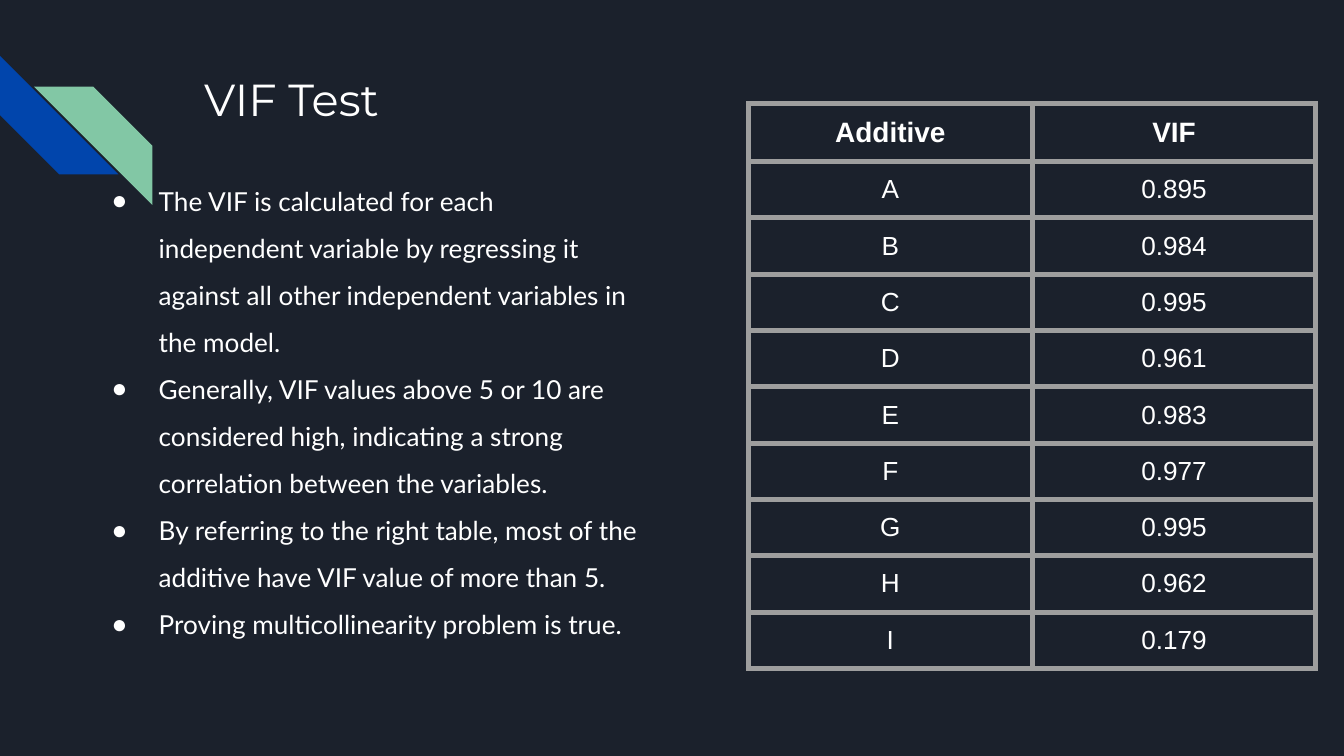
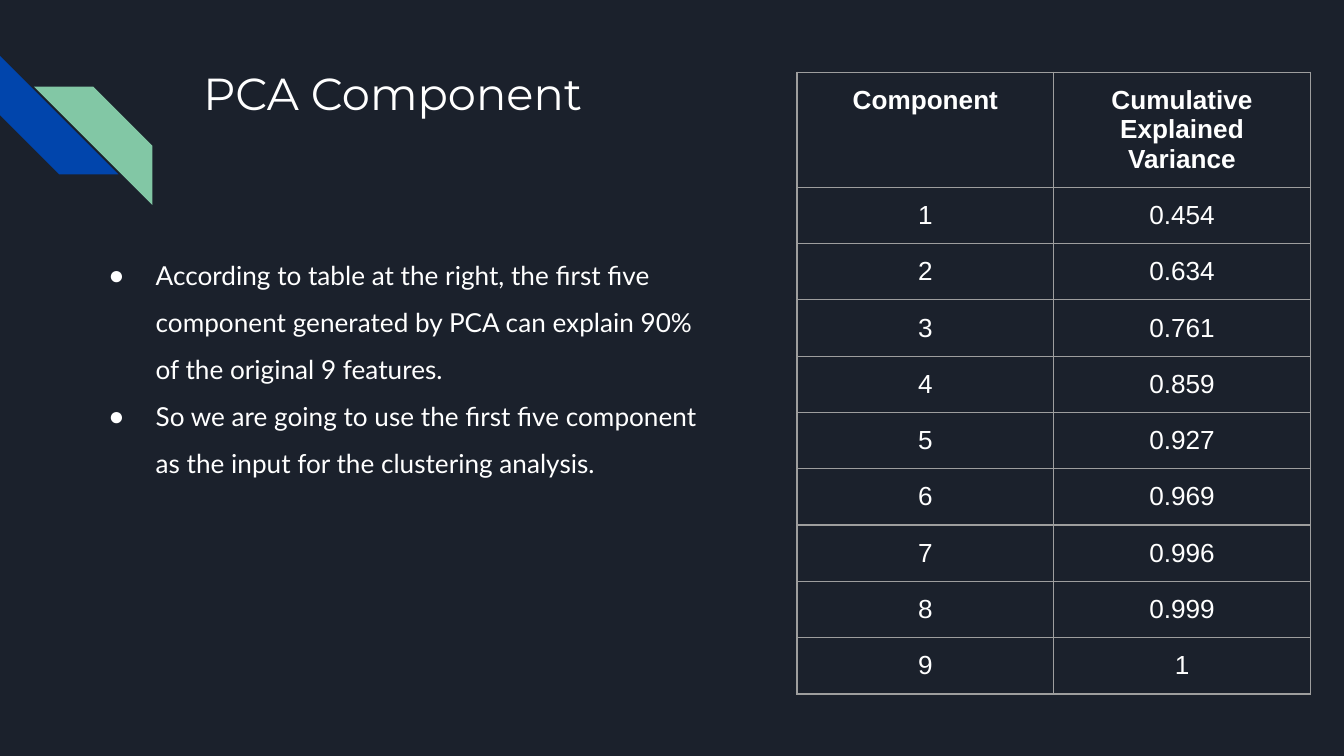
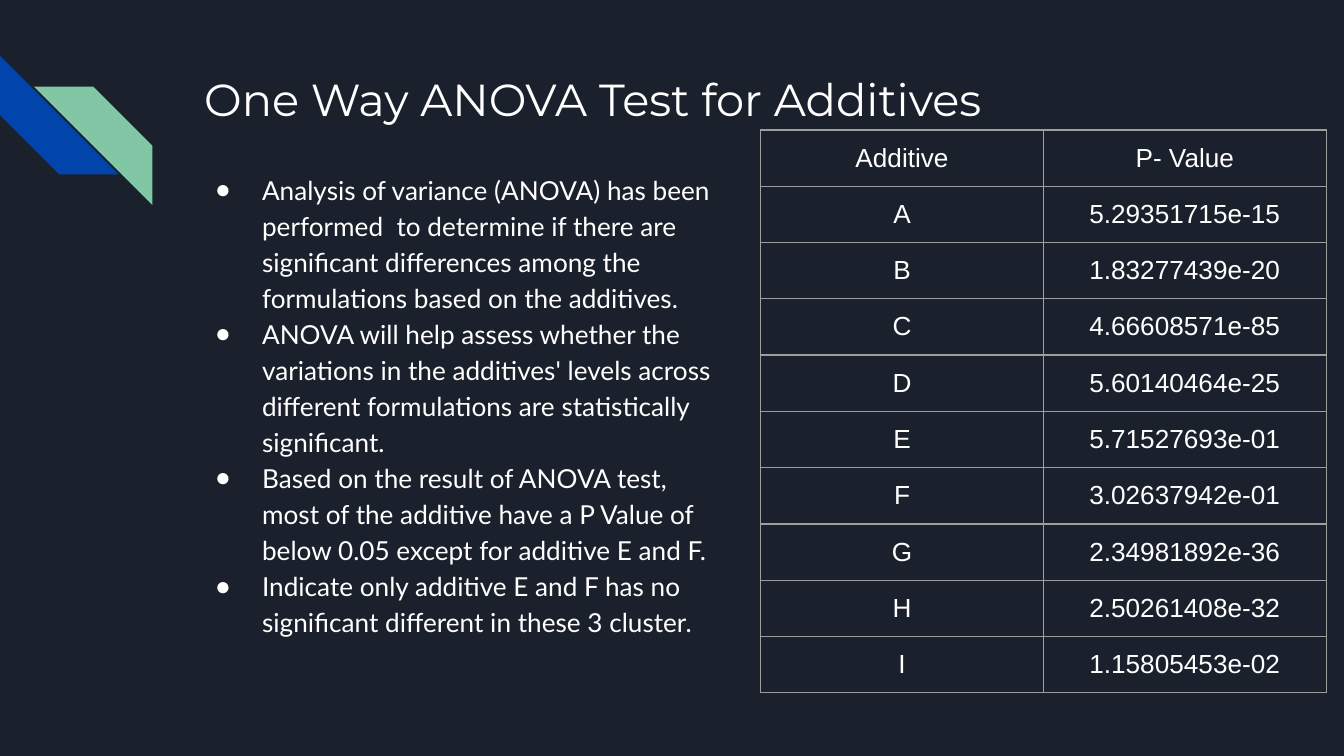
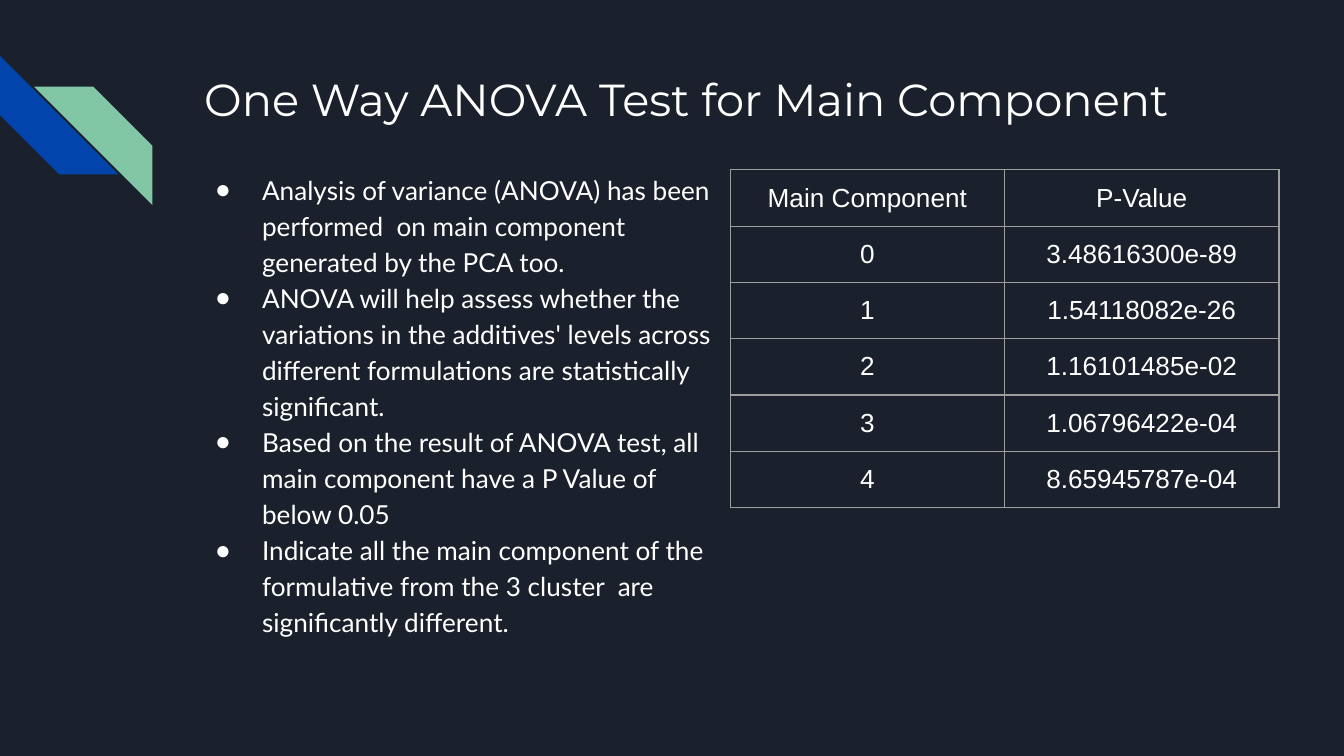
import lxml.etree
import pptx
import pptx.dml.color
import pptx.enum.shapes
import pptx.enum.text
import pptx.oxml.ns
import pptx.util

Pt = pptx.util.Pt
RGBColor = pptx.dml.color.RGBColor
qn = pptx.oxml.ns.qn

NAVY = RGBColor(0x1B, 0x21, 0x2C)
BLUE = RGBColor(0x01, 0x45, 0xAC)
GREEN = RGBColor(0x82, 0xC7, 0xA5)
WHITE = RGBColor(0xFF, 0xFF, 0xFF)
GRAY = RGBColor(0x9E, 0x9E, 0x9E)
STRIPE_SIZE = 63.4
ROW_HEIGHT = 30
ANOVA_PURPOSE = (
    "ANOVA will help assess whether the variations in the additives' levels across "
    "different formulations are statistically significant."
)

PAGES = [
    {
        "title": "VIF Test",
        "title_position": (102.2, 31),
        "body_box": (41.8, 83.5, 308, 268),
        "line_spacing": 1.5,
        "bullets": [
            "The VIF is calculated for each independent variable by regressing it against "
            "all other independent variables in the model.",
            "Generally, VIF values above 5 or 10 are considered high, indicating a strong "
            "correlation between the variables.",
            "By referring to the right table, most of the additive have VIF value of more than 5.",
            "Proving multicollinearity problem is true.",
        ],
        "table_position": (401, 55.5),
        "column_width": 152,
        "border": 3,
        "header_size": 15,
        "header_bold": True,
        "rows": [
            ("Additive", "VIF"),
            ("A", "0.895"),
            ("B", "0.984"),
            ("C", "0.995"),
            ("D", "0.961"),
            ("E", "0.983"),
            ("F", "0.977"),
            ("G", "0.995"),
            ("H", "0.962"),
            ("I", "0.179"),
        ],
    },
    {
        "title": "PCA Component",
        "title_position": (101.7, 28),
        "body_box": (40.2, 123.5, 349, 229),
        "line_spacing": 1.5,
        "bullets": [
            "According to table at the right, the first five component generated by PCA "
            "can explain 90% of the original 9 features.",
            "So we are going to use the first five component as the input for the "
            "clustering analysis.",
        ],
        "table_position": (427, 38.7),
        "column_width": 137.5,
        "border": 0.75,
        "header_size": 14,
        "header_bold": True,
        "rows": [
            ("Component", "Cumulative Explained Variance"),
            ("1", "0.454"),
            ("2", "0.634"),
            ("3", "0.761"),
            ("4", "0.859"),
            ("5", "0.927"),
            ("6", "0.969"),
            ("7", "0.996"),
            ("8", "0.999"),
            ("9", "1"),
        ],
    },
    {
        "title": "One Way ANOVA Test for Additives",
        "title_position": (102.2, 31),
        "body_box": (97.2, 83.5, 294, 312),
        "line_spacing": 1.15,
        "bullets": [
            "Analysis of variance (ANOVA) has been performed  to determine if there are "
            "significant differences among the formulations based on the additives.",
            ANOVA_PURPOSE,
            "Based on the result of ANOVA test, most of the additive have a P Value of "
            "below 0.05 except for additive E and F.",
            "Indicate only additive E and F has no significant different in these 3 cluster.",
        ],
        "table_position": (407.5, 69.6),
        "column_width": 151.5,
        "border": 0.75,
        "header_size": 14,
        "header_bold": False,
        "rows": [
            ("Additive", "P- Value"),
            ("A", "5.29351715e-15"),
            ("B", "1.83277439e-20"),
            ("C", "4.66608571e-85"),
            ("D", "5.60140464e-25"),
            ("E", "5.71527693e-01"),
            ("F", "3.02637942e-01"),
            ("G", "2.34981892e-36"),
            ("H", "2.50261408e-32"),
            ("I", "1.15805453e-02"),
        ],
    },
    {
        "title": "One Way ANOVA Test for Main Component",
        "title_position": (102.2, 31),
        "body_box": (97.2, 83.5, 294, 312),
        "line_spacing": 1.15,
        "bullets": [
            "Analysis of variance (ANOVA) has been performed  on main component generated "
            "by the PCA too.",
            ANOVA_PURPOSE,
            "Based on the result of ANOVA test, all main component have a P Value of below 0.05",
            "Indicate all the main component of the formulative from the 3 cluster  are "
            "significantly different.",
        ],
        "table_position": (391.2, 91),
        "column_width": 147,
        "border": 0.75,
        "header_size": 14,
        "header_bold": False,
        "rows": [
            ("Main Component", "P-Value"),
            ("0", "3.48616300e-89"),
            ("1", "1.54118082e-26"),
            ("2", "1.16101485e-02"),
            ("3", "1.06796422e-04"),
            ("4", "8.65945787e-04"),
        ],
    },
]


def fill_placeholder(shape, box, paragraphs, font_name, size):
    shape.left, shape.top, shape.width, shape.height = [Pt(length) for length in box]
    text_frame = shape.text_frame
    text_frame.text = "\n".join(paragraphs)
    text_frame.word_wrap = True
    text_frame.auto_size = pptx.enum.text.MSO_AUTO_SIZE.NONE
    text_frame.vertical_anchor = pptx.enum.text.MSO_ANCHOR.TOP
    text_frame.margin_left = text_frame.margin_right = Pt(7.2)
    text_frame.margin_top = text_frame.margin_bottom = Pt(7.2)
    for paragraph in text_frame.paragraphs:
        paragraph.alignment = pptx.enum.text.PP_ALIGN.LEFT
        paragraph.space_before = Pt(0)
        format_font(paragraph.runs[0].font, font_name, size)


def format_font(font, name, size, bold=False):
    font.name = name
    font.size = Pt(size)
    font.bold = bold
    font.color.rgb = WHITE


presentation = pptx.Presentation()
presentation.slide_width = Pt(720)
presentation.slide_height = Pt(405)
background_fill = presentation.slide_master.background.fill
background_fill.solid()
background_fill.fore_color.rgb = NAVY

layout = presentation.slide_layouts[1]
for placeholder in list(layout.placeholders):
    if placeholder.placeholder_format.idx >= 10:
        layout.shapes.element.remove(placeholder.element)

slides = [presentation.slides.add_slide(layout) for page in PAGES]

stripes = []
for left, top, color in [(0, 30, BLUE), (18.2, 46.4, GREEN)]:
    stripe = slides[0].shapes.add_shape(
        pptx.enum.shapes.MSO_SHAPE.DIAGONAL_STRIPE,
        Pt(left), Pt(top), Pt(STRIPE_SIZE), Pt(STRIPE_SIZE),
    )
    stripe.shadow.inherit = False
    stripe.fill.solid()
    stripe.fill.fore_color.rgb = color
    stripe.line.fill.background()
    stripes.append(stripe)
blue_stripe, green_stripe = stripes
blue_stripe.rotation = 270
green_stripe.element.spPr.get_or_add_xfrm().set("flipH", "1")
for position, stripe in enumerate(stripes, start=2):
    layout.shapes.element.insert(position, stripe.element)

for slide, page in zip(slides, PAGES):
    title_box = (*page["title_position"], 554.5, 72)
    fill_placeholder(slide.shapes.title, title_box, [page["title"]], "Montserrat", 24)

    body = slide.placeholders[1]
    fill_placeholder(body, page["body_box"], page["bullets"], "Lato", 14)
    for paragraph in body.text_frame.paragraphs:
        paragraph.line_spacing = page["line_spacing"]
        properties = paragraph._p.get_or_add_pPr()
        properties.set("marL", str(Pt(36)))
        properties.set("indent", str(Pt(-25.2)))
        bullet_color = lxml.etree.SubElement(properties, qn("a:buClr"))
        lxml.etree.SubElement(bullet_color, qn("a:srgbClr"), val=str(WHITE))
        lxml.etree.SubElement(properties, qn("a:buChar"), char="●")

    rows = page["rows"]
    left, top = page["table_position"]
    table = slide.shapes.add_table(
        len(rows), 2, Pt(left), Pt(top),
        Pt(2 * page["column_width"]), Pt(len(rows) * ROW_HEIGHT),
    ).table
    table.first_row = page["header_bold"]
    table.horz_banding = False
    for row_index, row in enumerate(rows):
        is_header = row_index == 0
        for column_index, value in enumerate(row):
            cell = table.cell(row_index, column_index)
            cell.margin_left = cell.margin_right = Pt(7.2)
            cell.margin_top = cell.margin_bottom = Pt(7.2)
            cell.text_frame.text = value
            paragraph = cell.text_frame.paragraphs[0]
            paragraph.alignment = pptx.enum.text.PP_ALIGN.CENTER
            format_font(
                paragraph.runs[0].font, "Arial",
                page["header_size"] if is_header else 14,
                is_header and page["header_bold"],
            )
            cell_properties = cell._tc.get_or_add_tcPr()
            for side in ("a:lnL", "a:lnR", "a:lnT", "a:lnB"):
                border = lxml.etree.SubElement(
                    cell_properties, qn(side), w=str(Pt(page["border"]))
                )
                border_fill = lxml.etree.SubElement(border, qn("a:solidFill"))
                lxml.etree.SubElement(border_fill, qn("a:srgbClr"), val=str(GRAY))
            cell.fill.background()

presentation.save("out.pptx")
